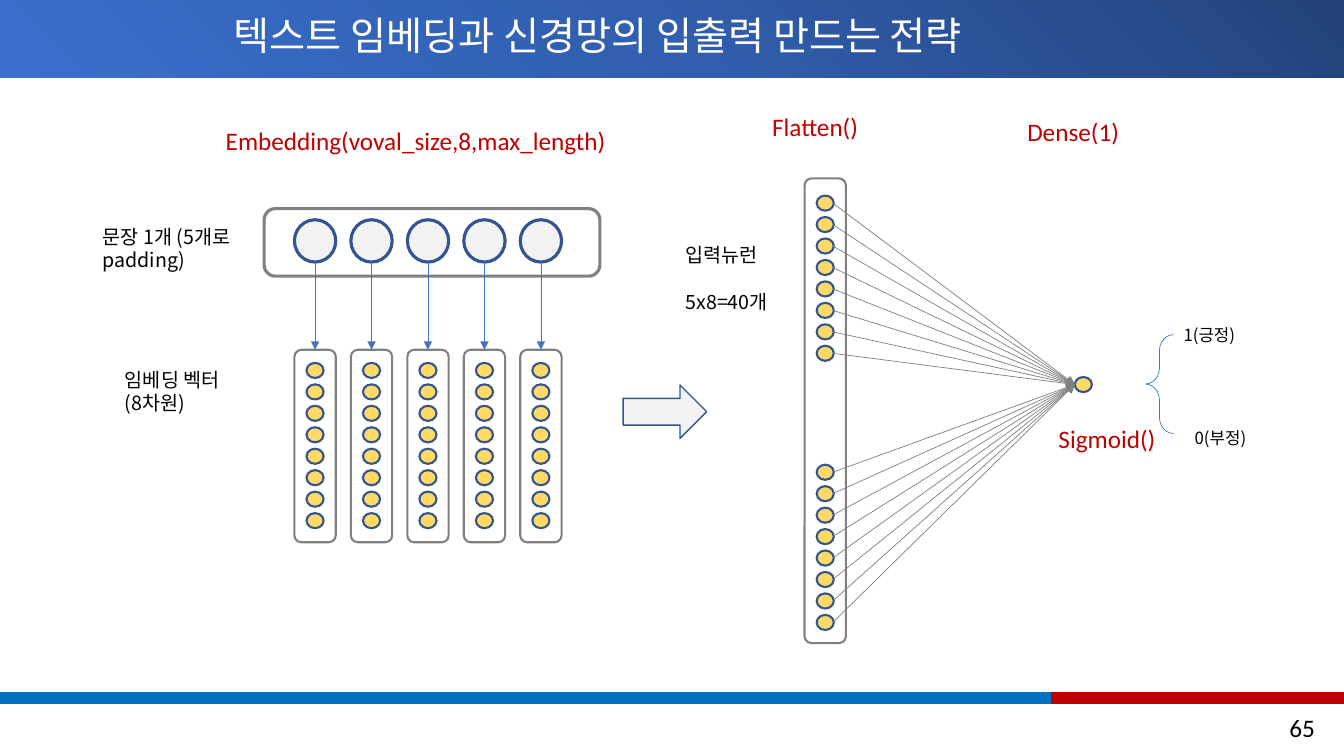
from pptx import Presentation
from pptx.util import Inches, Pt
from pptx.dml.color import RGBColor
from pptx.enum.shapes import MSO_SHAPE, MSO_CONNECTOR
from pptx.enum.text import PP_ALIGN, MSO_ANCHOR
from pptx.oxml import parse_xml
from pptx.oxml.ns import qn
from lxml import etree

RECT, ROUND, OVAL = MSO_SHAPE.RECTANGLE, MSO_SHAPE.ROUNDED_RECTANGLE, MSO_SHAPE.OVAL
ARROW, BRACE = MSO_SHAPE.RIGHT_ARROW, MSO_SHAPE.LEFT_BRACE
STRAIGHT = MSO_CONNECTOR.STRAIGHT
LEFT, CENTER, RIGHT = PP_ALIGN.LEFT, PP_ALIGN.CENTER, PP_ALIGN.RIGHT
TOP, MIDDLE = MSO_ANCHOR.TOP, MSO_ANCHOR.MIDDLE

C = {"black": "000000", "white": "FFFFFF", "red": "C00000", "blue": "0070C0",
     "navy": "325491", "pale": "F2F2F2", "yellow": "FFD966", "gray": "808080",
     "link": "4472C4"}
HEADER_STOPS = [(0, "23427A"), (50, "315EAD"), (100, "3A6FCE")]
LATIN, KOREAN = "Calibri", "Noto Sans CJK KR"

# Content: (text, left, top, width, height)
TITLE = ("텍스트 임베딩과 신경망의 입출력 만드는 전략", 0.35, 0.01, 11.16, 0.74)
PAGE = ("65", 10.63, 7.02, 2.51, 0.4)
LAYER_LABELS = [
    ("Embedding(voval_size,8,max_length)", 2.14, 1.19, 4.01, 0.4),
    ("Flatten()", 7.56, 1.06, 1.07, 0.4),
    ("Dense(1)", 10.09, 1.11, 1.12, 0.4),
    ("Sigmoid()", 10.4, 4.15, 1.17, 0.4),
]
WRAPPED_NOTES = [
    ("문장 1개 (5개로 padding)", 0.92, 2.18, 1.56, 0.57, 14),
    ("임베딩 벡터\n(8차원)", 1.14, 3.6, 1.15, 0.57, 14),
    ("1(긍정)", 11.64, 3.17, 0.72, 0.3, 12),
    ("0(부정)", 11.75, 4.19, 0.72, 0.3, 12),
]
INPUT_NOTE = ("입력뉴런\n5x8=40개", 6.7, 2.36, 1.08, 1.04)

# Geometry
WORDS, DIMS = 5, 8
WORD_X, WORD_STEP, WORD_Y, WORD_W, WORD_H = 2.92, 0.56, 2.18, 0.41, 0.42
VECTOR_Y, VECTOR_H = 3.47, 1.91
NEURON_W, NEURON_H, NEURON_SPAN = 0.17, 0.15, 1.49
FLAT_X, FLAT_GROUPS = 7.98, [1.94, 4.61]
OUTPUT_X, OUTPUT_Y = 10.66, 3.74

prs = Presentation()
prs.slide_width, prs.slide_height = Inches(13.33), Inches(7.5)
s = prs.slides.add_slide(prs.slide_layouts[6])


def add_shape(kind, x, y, w, h, fill=None, line=None, weight=1):
    sp = s.shapes.add_shape(kind, Inches(x), Inches(y), Inches(w), Inches(h))
    sp.shadow.inherit = False
    if fill:
        sp.fill.solid()
        sp.fill.fore_color.rgb = RGBColor.from_string(C[fill])
    else:
        sp.fill.background()
    if line:
        sp.line.color.rgb = RGBColor.from_string(C[line])
        sp.line.width = Pt(weight)
    else:
        sp.line.fill.background()
    return sp


def add_arrow(x1, y1, x2, y2, color):
    cx = s.shapes.add_connector(STRAIGHT, Inches(x1), Inches(y1), Inches(x2), Inches(y2))
    cx.line.color.rgb = RGBColor.from_string(C[color])
    cx.line.width = Pt(0.5)
    etree.SubElement(cx.line._get_or_add_ln(), qn("a:tailEnd"), type="triangle")
    etree.SubElement(cx._element.spPr, qn("a:effectLst"))
    return cx


def add_text(text, x, y, w, h, size, font=KOREAN, color="black", align=LEFT,
             anchor=TOP, wrap=True, gap=0, spacing=None):
    tf = s.shapes.add_textbox(Inches(x), Inches(y), Inches(w), Inches(h)).text_frame
    tf.word_wrap = wrap
    tf.vertical_anchor = anchor
    tf.text = text
    for i, p in enumerate(tf.paragraphs):
        p.alignment = align
        if spacing:
            p.line_spacing = spacing
        if i and gap:
            p.space_before = Pt(gap)
        for r in p.runs:
            r.font.size = Pt(size)
            r.font.name = font
            r.font.color.rgb = RGBColor.from_string(C[color])
            etree.SubElement(r._r.get_or_add_rPr(), qn("a:ea"), typeface=font)


def add_neurons(x, top):
    """Draw one column of neurons and return the middle height of each."""
    tops = [top + i * NEURON_SPAN / (DIMS - 1) for i in range(DIMS)]
    for y in tops:
        add_shape(OVAL, x, y, NEURON_W, NEURON_H, "yellow", "navy", 1.5)
    return [y + NEURON_H / 2 for y in tops]


# Header band with a radial gradient, footer bars
header = add_shape(RECT, 0, 0, 13.33, 0.77, "navy")
stops = "".join(f'<a:gs pos="{pos * 1000}"><a:srgbClr val="{rgb}"/></a:gs>'
                for pos, rgb in HEADER_STOPS)
gradient = parse_xml(
    '<a:gradFill xmlns:a="http://schemas.openxmlformats.org/drawingml/2006/main">'
    f'<a:gsLst>{stops}</a:gsLst><a:path path="circle">'
    '<a:fillToRect l="100000" b="100000"/></a:path></a:gradFill>')
solid = header._element.spPr.find(qn("a:solidFill"))
solid.getparent().replace(solid, gradient)
add_shape(RECT, 0, 6.87, 10.43, 0.11, "blue", "blue")
add_shape(RECT, 10.43, 6.87, 2.9, 0.11, "red", "red")
add_text(*TITLE, 28, color="white", align=CENTER, anchor=MIDDLE, spacing=0.9)
add_text(*PAGE, 18, LATIN, align=RIGHT)

# Sentence of words, each mapped to an embedding vector
add_shape(ROUND, 2.62, 2.07, 3.33, 0.67, None, "gray", 2.25)
for i in range(WORDS):
    x = WORD_X + i * WORD_STEP
    mid = x + WORD_W / 2
    add_shape(OVAL, x, WORD_Y, WORD_W, WORD_H, "pale", "navy", 2.25)
    add_neurons(mid - NEURON_W / 2, VECTOR_Y + 0.13)
    vector = add_shape(ROUND, x, VECTOR_Y, WORD_W, VECTOR_H, None, "gray", 1.5)
    link = add_arrow(mid, WORD_Y + WORD_H, mid, VECTOR_Y, "link")
    link.end_connect(vector, 0)
add_shape(ARROW, 6.18, 3.82, 0.83, 0.53, "pale", "navy")

# Flattened input neurons, all linked to the output neuron
add_shape(ROUND, FLAT_X, 1.77, WORD_W, 4.61, None, "gray", 1.5)
add_shape(OVAL, OUTPUT_X, OUTPUT_Y, NEURON_W, NEURON_H, "yellow", "navy", 1.5)
for top in FLAT_GROUPS:
    for y in add_neurons(FLAT_X + 0.12, top):
        add_arrow(FLAT_X + 0.28, y, OUTPUT_X, OUTPUT_Y + NEURON_H / 2, "gray")

# Output classes
brace = add_shape(BRACE, 11.36, 3.32, 0.28, 0.98, None, "link", 0.5)
brace.adjustments[0] = 0.56

# Labels
for label in LAYER_LABELS:
    add_text(*label, 18, LATIN, "red", wrap=False)
for note in WRAPPED_NOTES:
    add_text(*note)
add_text(*INPUT_NOTE, 14, wrap=False, gap=17)

prs.save("out.pptx")
